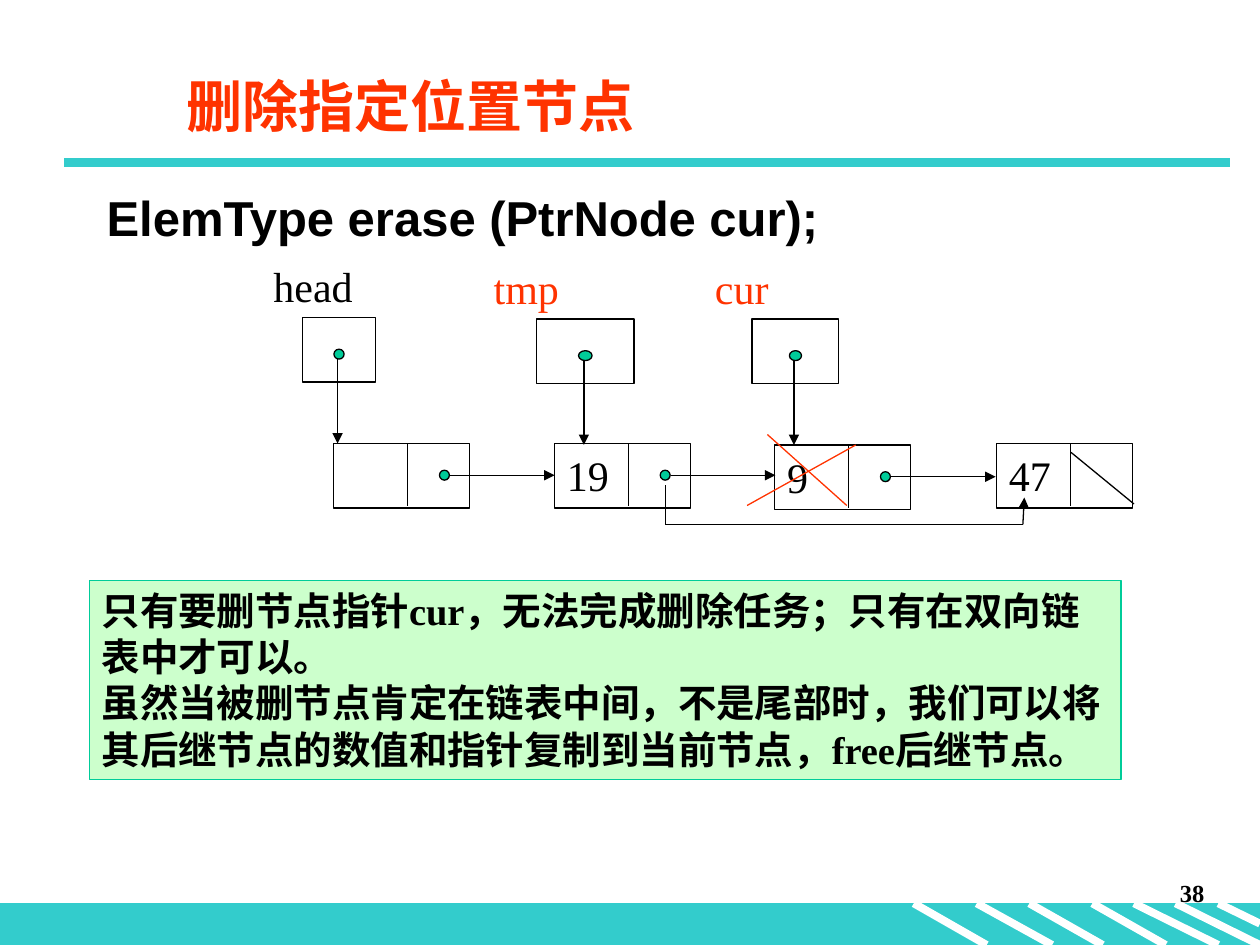
import pptx
import pptx.util
import pptx.dml.color
import pptx.enum.shapes
import pptx.enum.text
import pptx.oxml.ns
import lxml.etree

Cm, Pt = pptx.util.Cm, pptx.util.Pt
SHAPE = pptx.enum.shapes.MSO_SHAPE
ALIGN = pptx.enum.text.PP_ALIGN
ANCHOR = pptx.enum.text.MSO_ANCHOR

COLORS = {"teal": "33CCCC", "white": "FFFFFF", "black": "000000",
          "red": "FF3300", "green": "00CC99", "mint": "CCFFCC"}

FONTS = {
    "title": {"name": "Arial", "size": Pt(32), "bold": True},
    "signature": {"name": "Arial", "size": Pt(28), "bold": True},
    "diagram": {"name": "Times New Roman", "size": Pt(24), "bold": False},
    "remark": {"name": "Times New Roman", "size": Pt(22), "bold": True},
    "number": {"name": "Times New Roman", "size": Pt(14), "bold": True},
}

TITLE = "删除指定位置节点"
SIGNATURE = "ElemType erase (PtrNode cur);"
PAGE_NUMBER = "38"
REMARKS = [
    "只有要删节点指针cur，无法完成删除任务；只有在双向链表中才可以。",
    "虽然当被删节点肯定在链表中间，不是尾部时，我们可以将其后继节点的数值和指针复制到当前节点，free后继节点。",
]

NODES = [("", 6.73, 8.94), ("19", 11.18, 8.94), ("9", 15.62, 8.97), ("47", 20.09, 8.94)]
NODE_W, NODE_H, DIVIDER = 2.74, 1.3, 1.49
POINTERS = [("head", "black", 6.1, 6.4, 1.47),
            ("tmp", "red", 10.82, 6.43, 1.96),
            ("cur", "red", 15.16, 6.43, 1.75)]
BYPASS = [(13.41, 9.78), (13.41, 10.57), (20.62, 10.57), (20.65, 10.03)]
CROSS = [(17.25, 8.97, 15.06, 10.19), (15.47, 8.76, 17.07, 10.19)]
END_MARK = (21.59, 9.12, 22.86, 10.16)

BAND_TOP, SLIDE_W, SLIDE_H = 18.21, 25.4, 19.05
STRIPES = [(18.42, 19.89, SLIDE_H), (19.69, 21.21, SLIDE_H), (20.75, 22.23, SLIDE_H),
           (22.02, 23.5, SLIDE_H), (22.86, 24.56, SLIDE_H), (23.7, SLIDE_W, SLIDE_H),
           (24.56, SLIDE_W, 18.62)]

deck = pptx.Presentation()
deck.slide_width, deck.slide_height = Cm(SLIDE_W), Cm(SLIDE_H)
slide = deck.slides.add_slide(deck.slide_layouts[6])


def rgb(color):
    return pptx.dml.color.RGBColor.from_string(COLORS[color])


def write(shape, paragraphs, style, color="black", align=ALIGN.LEFT, anchor=ANCHOR.TOP):
    frame = shape.text_frame
    for key, value in {"word_wrap": True, "vertical_anchor": anchor}.items():
        setattr(frame, key, value)
    for index, words in enumerate(paragraphs):
        paragraph = frame.add_paragraph() if index else frame.paragraphs[0]
        paragraph.alignment = align
        run = paragraph.add_run()
        run.text = words
        for key, value in FONTS[style].items():
            setattr(run.font, key, value)
        run.font.color.rgb = rgb(color)


def add_text(box, words, style, **layout):
    write(slide.shapes.add_textbox(*map(Cm, box)), [words], style, **layout)


def add_box(box, fill=None, line="black", kind=SHAPE.RECTANGLE):
    shape = slide.shapes.add_shape(kind, *map(Cm, box))
    shape.shadow.inherit = False
    if fill:
        shape.fill.solid()
        shape.fill.fore_color.rgb = rgb(fill)
    else:
        shape.fill.background()
    shape.line.color.rgb = rgb(line)
    shape.line.width = Pt(0.75)
    return shape


def add_line(ends, color="black", width=0.75, arrow=False):
    line = slide.shapes.add_connector(
        pptx.enum.shapes.MSO_CONNECTOR.STRAIGHT, *map(Cm, ends))
    line.line.color.rgb = rgb(color)
    line.line.width = Pt(width)
    qn = pptx.oxml.ns.qn
    if arrow:
        lxml.etree.SubElement(line.line._get_or_add_ln(), qn("a:tailEnd"), type="triangle")
    lxml.etree.SubElement(line._element.spPr, qn("a:effectLst"))


def add_dot(x, y, width=0.2):
    add_box((x, y, width, 0.2), "green", kind=SHAPE.OVAL)


add_box((0, BAND_TOP, SLIDE_W, SLIDE_H - BAND_TOP), "teal", "teal")
for start, end, bottom in STRIPES:
    add_line((start, BAND_TOP, end, bottom), "white", 4.5)
add_line((1.3, 3.28, 24.79, 3.28), "teal", 4.5 + 0.5)

add_text((19.25, 17.58, 5.28, 1.27), PAGE_NUMBER, "number", align=ALIGN.RIGHT)
add_text((3.51, 1.12, 21.59, 2.01), TITLE, "title", color="red", anchor=ANCHOR.MIDDLE)
add_text((1.9, 3.66, 22.6, 1.5), SIGNATURE, "signature")

for value, x, y in NODES:
    node = add_box((x, y, NODE_W, NODE_H))
    if value:
        write(node, [value], "diagram")
    add_line((x + DIVIDER, y, x + DIVIDER, y + 1.27))
for value, x, y in NODES[:-1]:
    add_line((x + 2.34, y + 0.64, x + 4.45, y + 0.64), arrow=True)
    add_dot(x + 2.13, y + 0.54)
add_line(END_MARK)

for label, color, x, y, width in POINTERS:
    center = x + width / 2
    add_box((x, y, width, NODE_H))
    add_text((x - 0.57 * width, y - 1.27, 2.29 * width, 1.27), label, "diagram", color=color)
    add_dot(center - 0.07 * width, y + 0.64, 0.14 * width)
    add_line((center - 0.03, y + 0.84, center - 0.03, y + 2.54), arrow=True)

for start, end in zip(BYPASS, BYPASS[1:]):
    add_line(start + end, arrow=end == BYPASS[-1])
for stroke in CROSS:
    add_line(stroke, "red")

write(add_box((1.8, 11.71, 20.8, 4.01), "mint", "green"), REMARKS, "remark")

deck.save("out.pptx")
